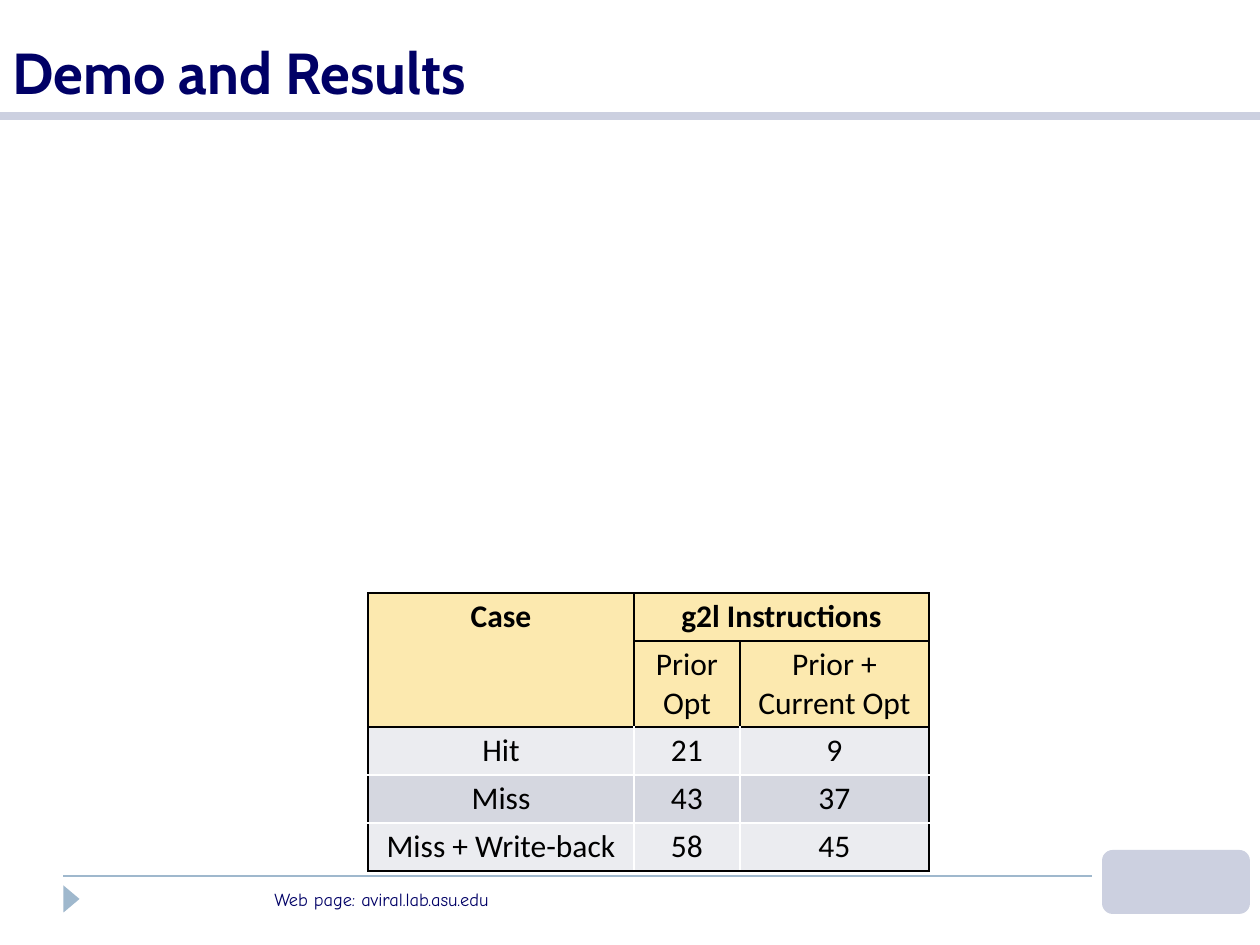
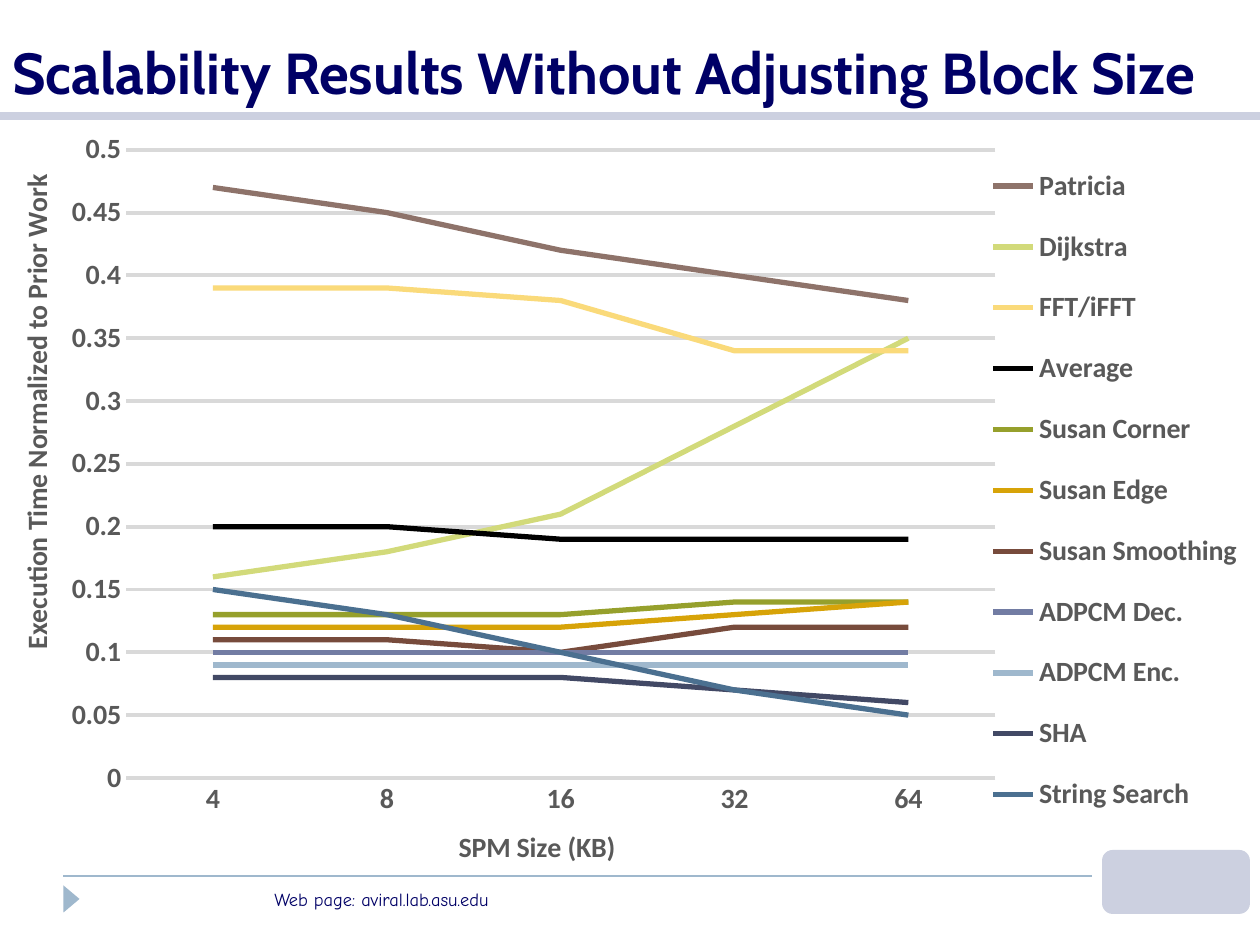
import pptx
import pptx.chart.data
import pptx.dml.color
import pptx.enum.chart
import pptx.enum.shapes
import pptx.enum.text
import pptx.oxml
import pptx.oxml.ns
import pptx.util

EMU_PER_PX = 914400 / 126
SLIDE_W, SLIDE_H = 1260, 945
TITLE_H = 112

COLORS = {
    "navy": "000066",
    "band": "CCD0E0",
    "footer": "9FB8CD",
    "black": "000000",
    "white": "FFFFFF",
    "header": "FCE9AF",
    "row_light": "EBECF0",
    "row_dark": "D5D7E0",
    "grid": "D9D9D9",
    "chart_text": "595959",
}

CASES = [
    ["Case", "g2l Instructions", ""],
    ["", "Prior Opt", "Prior + Current Opt"],
    ["Hit", "21", "9"],
    ["Miss", "43", "37"],
    ["Miss + Write-back", "58", "45"],
]
HEADER_ROWS = 2
COL_WIDTHS = [266, 106, 189]
ROW_HEIGHTS = [48, 86, 48, 48, 48]

SPM_SIZES = ["4", "8", "16", "32", "64"]
BENCHMARKS = [
    ("Patricia", "8E736A", [0.47, 0.45, 0.42, 0.4, 0.38]),
    ("Dijkstra", "D2DA7A", [0.16, 0.18, 0.21, 0.28, 0.35]),
    ("FFT/iFFT", "FADA7A", [0.39, 0.39, 0.38, 0.34, 0.34]),
    ("Average", "000000", [0.2, 0.2, 0.19, 0.19, 0.19]),
    ("Susan Corner", "96A02C", [0.13, 0.13, 0.13, 0.14, 0.14]),
    ("Susan Edge", "D7A308", [0.12, 0.12, 0.12, 0.13, 0.14]),
    ("Susan Smoothing", "774B3C", [0.11, 0.11, 0.1, 0.12, 0.12]),
    ("ADPCM Dec.", "727CA3", [0.1] * 5),
    ("ADPCM Enc.", "9FB8CD", [0.09] * 5),
    ("SHA", "424965", [0.08, 0.08, 0.08, 0.07, 0.06]),
    ("String Search", "4B7090", [0.15, 0.13, 0.1, 0.07, 0.05]),
]


def px(n):
    return pptx.util.Emu(round(n * EMU_PER_PX))


def rgb(value):
    return pptx.dml.color.RGBColor.from_string(value)


def style_font(font, name, size, color, bold=False):
    font.name = name
    font.size = pptx.util.Pt(size)
    font.bold = bold
    font.color.rgb = rgb(color)


def style_line(line, color, width):
    line.color.rgb = rgb(color)
    line.width = pptx.util.Pt(width)


def add_text(s, box, text, name, size, bold=False, anchor="TOP"):
    tf = s.shapes.add_textbox(*map(px, box)).text_frame
    tf.word_wrap = True
    tf.vertical_anchor = getattr(pptx.enum.text.MSO_ANCHOR, anchor)
    tf.text = text
    style_font(tf.paragraphs[0].runs[0].font, name, size, COLORS["navy"], bold)


def add_rule(s, x1, x2, y, color, width):
    line = s.shapes.add_connector(
        pptx.enum.shapes.MSO_CONNECTOR.STRAIGHT, px(x1), px(y), px(x2), px(y))
    style_line(line.line, color, width)
    effects = pptx.oxml.parse_xml(f'<a:effectLst {pptx.oxml.ns.nsdecls("a")}/>')
    line._element.spPr.append(effects)


def add_plain_shape(s, kind, box, color, rotation=0):
    sp = s.shapes.add_shape(
        getattr(pptx.enum.shapes.MSO_SHAPE, kind), *map(px, box))
    sp.shadow.inherit = False
    sp.fill.solid()
    sp.fill.fore_color.rgb = rgb(color)
    sp.line.fill.background()
    sp.rotation = rotation


def add_slide(prs, title):
    """Add a slide with the shared title, band and footer."""
    s = prs.slides.add_slide(prs.slide_layouts[6])
    add_rule(s, 63, 1092, 876, COLORS["footer"], 1)
    add_rule(s, 0, SLIDE_W, 116, COLORS["band"], 5)
    add_text(s, (262, 882, 472, 35), "Web page: aviral.lab.asu.edu", "Comic Neue", 10.5)
    add_plain_shape(s, "ISOSCELES_TRIANGLE", (58, 891, 27, 16), COLORS["footer"], 90)
    add_plain_shape(s, "ROUNDED_RECTANGLE", (1102, 850, 148, 64), COLORS["band"])
    add_text(s, (0, 0, SLIDE_W, TITLE_H), title, "Cabin", 33, True, "BOTTOM")
    return s


def set_borders(cell, row, col):
    """Black around the header cells and the table edge, white inside the body."""
    header = row < HEADER_ROWS
    black_sides = {
        "L": header or col == 0,
        "R": header or col == len(COL_WIDTHS) - 1,
        "T": row <= HEADER_ROWS,
        "B": header or row == len(CASES) - 1,
    }
    tcPr = cell._tc.get_or_add_tcPr()
    for side, black in black_sides.items():
        color = COLORS["black" if black else "white"]
        tcPr.append(pptx.oxml.parse_xml(
            f'<a:ln{side} {pptx.oxml.ns.nsdecls("a")} w="12700"><a:solidFill>'
            f'<a:srgbClr val="{color}"/></a:solidFill></a:ln{side}>'))


def fill_cell(cell, row, col):
    set_borders(cell, row, col)
    fill = "header" if row < HEADER_ROWS else ("row_light", "row_dark")[row % 2]
    cell.fill.solid()
    cell.fill.fore_color.rgb = rgb(COLORS[fill])
    cell.margin_left = cell.margin_right = px(10)
    cell.margin_top = cell.margin_bottom = px(5)
    if CASES[row][col]:
        cell.text_frame.text = CASES[row][col]
        p = cell.text_frame.paragraphs[0]
        p.alignment = pptx.enum.text.PP_ALIGN.CENTER
        style_font(p.runs[0].font, "Calibri", 18, COLORS["black"], row == 0)


def add_case_table(s, x, y):
    box = (x, y, sum(COL_WIDTHS), sum(ROW_HEIGHTS))
    table = s.shapes.add_table(
        len(ROW_HEIGHTS), len(COL_WIDTHS), *map(px, box)).table
    for column, width in zip(table.columns, COL_WIDTHS):
        column.width = px(width)
    for row, height in zip(table.rows, ROW_HEIGHTS):
        row.height = px(height)
    table.cell(0, 0).merge(table.cell(1, 0))
    table.cell(0, 1).merge(table.cell(0, 2))
    for row in range(len(ROW_HEIGHTS)):
        for col in range(len(COL_WIDTHS)):
            fill_cell(table.cell(row, col), row, col)


def set_layout(element, index, inner=False, **fractions):
    """Place a chart part by fractions of the chart area."""
    for old in element.findall(pptx.oxml.ns.qn("c:layout")):
        element.remove(old)
    target = '<c:layoutTarget val="inner"/>' if inner else ""
    modes = "".join(f'<c:{k}Mode val="edge"/>' for k in "xy")
    values = "".join(f'<c:{k} val="{v}"/>' for k, v in fractions.items())
    element.insert(index, pptx.oxml.parse_xml(
        f'<c:layout {pptx.oxml.ns.nsdecls("c")}><c:manualLayout>'
        f'{target}{modes}{values}</c:manualLayout></c:layout>'))


def style_axis(axis, title, x, y, rotation=0):
    axis.major_tick_mark = axis.minor_tick_mark = pptx.enum.chart.XL_TICK_MARK.NONE
    tf = axis.axis_title.text_frame
    tf.text = title
    style_font(tf.paragraphs[0].runs[0].font, "Calibri", 16, COLORS["chart_text"], True)
    bodyPr = tf._txBody.bodyPr
    bodyPr.set("rot", str(rotation * 60000))
    bodyPr.set("vert", "horz")
    set_layout(axis.axis_title._element, 1, x=x, y=y)


def add_scalability_chart(s, box):
    data = pptx.chart.data.CategoryChartData()
    data.categories = SPM_SIZES
    for name, _, values in BENCHMARKS:
        data.add_series(name, values)
    chart = s.shapes.add_chart(
        pptx.enum.chart.XL_CHART_TYPE.LINE, *map(px, box), data).chart
    chart.has_title = False
    style_font(chart.font, "Calibri", 16, COLORS["chart_text"], True)
    plot = chart.plots[0]
    plot.vary_by_categories = False
    for series, (_, color, _) in zip(plot.series, BENCHMARKS):
        series.smooth = False
        series.marker.style = pptx.enum.chart.XL_MARKER_STYLE.NONE
        style_line(series.format.line, color, 3)

    style_axis(chart.category_axis, "SPM Size (KB)", 0.36, 0.94)
    style_line(chart.category_axis.format.line, COLORS["grid"], 0.75)
    value_axis = chart.value_axis
    style_axis(value_axis, "Execution Time Normalized to Prior Work", 0.01, 0.08, -90)
    value_axis.minimum_scale, value_axis.maximum_scale = 0, 0.5
    value_axis.major_unit = 0.05
    value_axis.tick_labels.number_format = "General"
    value_axis.tick_labels.number_format_is_linked = False
    value_axis.format.line.fill.background()
    style_line(value_axis.major_gridlines.format.line, COLORS["grid"], 2.25)

    chart.has_legend = True
    legend = chart.legend
    legend.position = pptx.enum.chart.XL_LEGEND_POSITION.RIGHT
    legend.include_in_layout = False
    style_font(legend.font, "Calibri", 16, COLORS["chart_text"], True)
    set_layout(legend._element, 1, x=0.78, y=0.04, w=0.21, h=0.92)
    plot_area = chart._chartSpace.chart.plotArea
    set_layout(plot_area, 0, inner=True, x=0.1, y=0.05, w=0.69, h=0.83)


def main():
    prs = pptx.Presentation()
    prs.slide_width, prs.slide_height = px(SLIDE_W), px(SLIDE_H)
    s = add_slide(prs, "Demo and Results")
    add_case_table(s, 368, 593)
    s = add_slide(prs, "Scalability Results Without Adjusting Block Size")
    add_scalability_chart(s, (0, TITLE_H, SLIDE_W, 762))
    prs.save("out.pptx")


if __name__ == "__main__":
    main()
